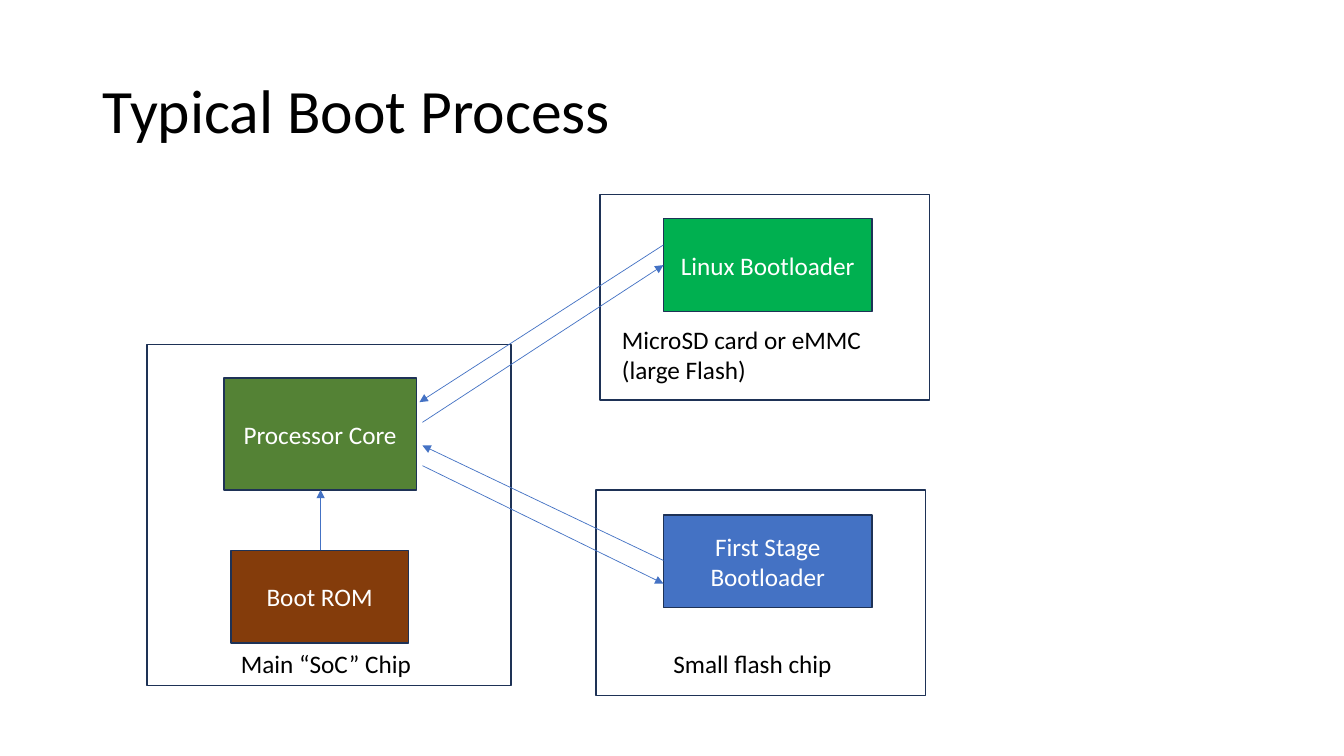
from dataclasses import dataclass
from typing import Any

from lxml import etree
from pptx import Presentation
from pptx import util as u
from pptx.dml import color
from pptx.enum import shapes, text
from pptx.oxml import ns

PX = 9144
FONT = "Calibri"
EDGE = "1E3256"
BLUE = "4472C4"
WHITE = "FFFFFF"
BLACK = "000000"


@dataclass(frozen=True)
class Box:
    """A rectangle, filled and labelled or left as an empty frame."""
    x: int
    y: int
    w: int
    h: int
    fill: str = ""
    label: str = ""


@dataclass(frozen=True)
class Note:
    """A plain caption."""
    x: int
    y: int
    w: int
    h: int
    label: str


@dataclass(frozen=True)
class Arrow:
    """A line with its arrowhead at the second point."""
    x1: int
    y1: int
    x2: int
    y2: int


FRAMES = [
    Box(146, 342, 361, 338),
    Box(595, 193, 327, 204),
    Box(591, 486, 327, 204),
]
PARTS = [
    Box(658, 511, 207, 92, BLUE, "First Stage Bootloader"),
    Box(229, 546, 176, 92, "843C0B", "Boot ROM"),
    Box(658, 217, 207, 92, "00B050", "Linux Bootloader"),
    Box(222, 375, 191, 111, "548235", "Processor Core"),
]
NOTES = [
    Note(229, 638, 212, 40, "Main “SoC” Chip"),
    Note(658, 638, 212, 40, "Small flash chip"),
    Note(607, 317, 314, 71, "MicroSD card or eMMC (large Flash)"),
]
ARROWS = [
    Arrow(658, 556, 419, 442),
    Arrow(318, 546, 318, 486),
    Arrow(419, 462, 658, 579),
    Arrow(419, 419, 658, 263),
    Arrow(658, 243, 416, 399),
]


def px(*nums: int) -> list[u.Emu]:
    """Turn px into EMU."""
    return [u.Emu(n * PX) for n in nums]


def rgb(code: str) -> color.RGBColor:
    """Turn a hex string into a colour."""
    return color.RGBColor.from_string(code)


def write(frame: Any, label: str, size: int, ink: str, align: Any) -> None:
    """Put one run of text into a frame."""
    frame.word_wrap = True
    para = frame.paragraphs[0]
    para.alignment = align
    run = para.add_run()
    run.text = label
    run.font.name = FONT
    run.font.size = u.Pt(size)
    run.font.color.rgb = rgb(ink)


def head(slide: Any, label: str) -> None:
    """Place and fill the title."""
    title = slide.shapes.title
    title.left, title.top, title.width, title.height = px(92, 40, 1150, 145)
    frame = title.text_frame
    frame.auto_size = text.MSO_AUTO_SIZE.NONE
    frame.vertical_anchor = text.MSO_ANCHOR.MIDDLE
    write(frame, label, 44, BLACK, text.PP_ALIGN.LEFT)
    frame.paragraphs[0].line_spacing = 0.9


def draw_box(slide: Any, box: Box) -> None:
    """Draw a frame or a labelled part."""
    rect = slide.shapes.add_shape(
        shapes.MSO_SHAPE.RECTANGLE, *px(box.x, box.y, box.w, box.h))
    rect.shadow.inherit = False
    rect.line.color.rgb = rgb(EDGE)
    rect.line.width = u.Pt(1)
    if box.fill:
        rect.fill.solid()
        rect.fill.fore_color.rgb = rgb(box.fill)
    else:
        rect.fill.background()
    if box.label:
        rect.text_frame.vertical_anchor = text.MSO_ANCHOR.MIDDLE
        write(rect.text_frame, box.label, 18, WHITE, text.PP_ALIGN.CENTER)


def draw_note(slide: Any, note: Note) -> None:
    """Draw a caption."""
    area = slide.shapes.add_textbox(*px(note.x, note.y, note.w, note.h))
    write(area.text_frame, note.label, 18, BLACK, text.PP_ALIGN.LEFT)
    area.text_frame.auto_size = text.MSO_AUTO_SIZE.SHAPE_TO_FIT_TEXT


def draw_arrow(slide: Any, arrow: Arrow) -> None:
    """Draw a thin arrow."""
    link = slide.shapes.add_connector(
        shapes.MSO_CONNECTOR.STRAIGHT,
        *px(arrow.x1, arrow.y1, arrow.x2, arrow.y2))
    link.line.color.rgb = rgb(BLUE)
    link.line.width = u.Pt(0.5)
    props = link.element.spPr
    etree.SubElement(props.find(ns.qn("a:ln")), ns.qn("a:tailEnd"),
                     type="triangle")
    etree.SubElement(props, ns.qn("a:effectLst"))


def main() -> None:
    """Build and save the slide."""
    deck = Presentation()
    deck.slide_width, deck.slide_height = px(1333, 750)
    slide = deck.slides.add_slide(deck.slide_layouts[5])
    head(slide, "Typical Boot Process")
    for box in FRAMES + PARTS:
        draw_box(slide, box)
    for note in NOTES:
        draw_note(slide, note)
    for arrow in ARROWS:
        draw_arrow(slide, arrow)
    deck.save("out.pptx")


if __name__ == "__main__":
    main()
